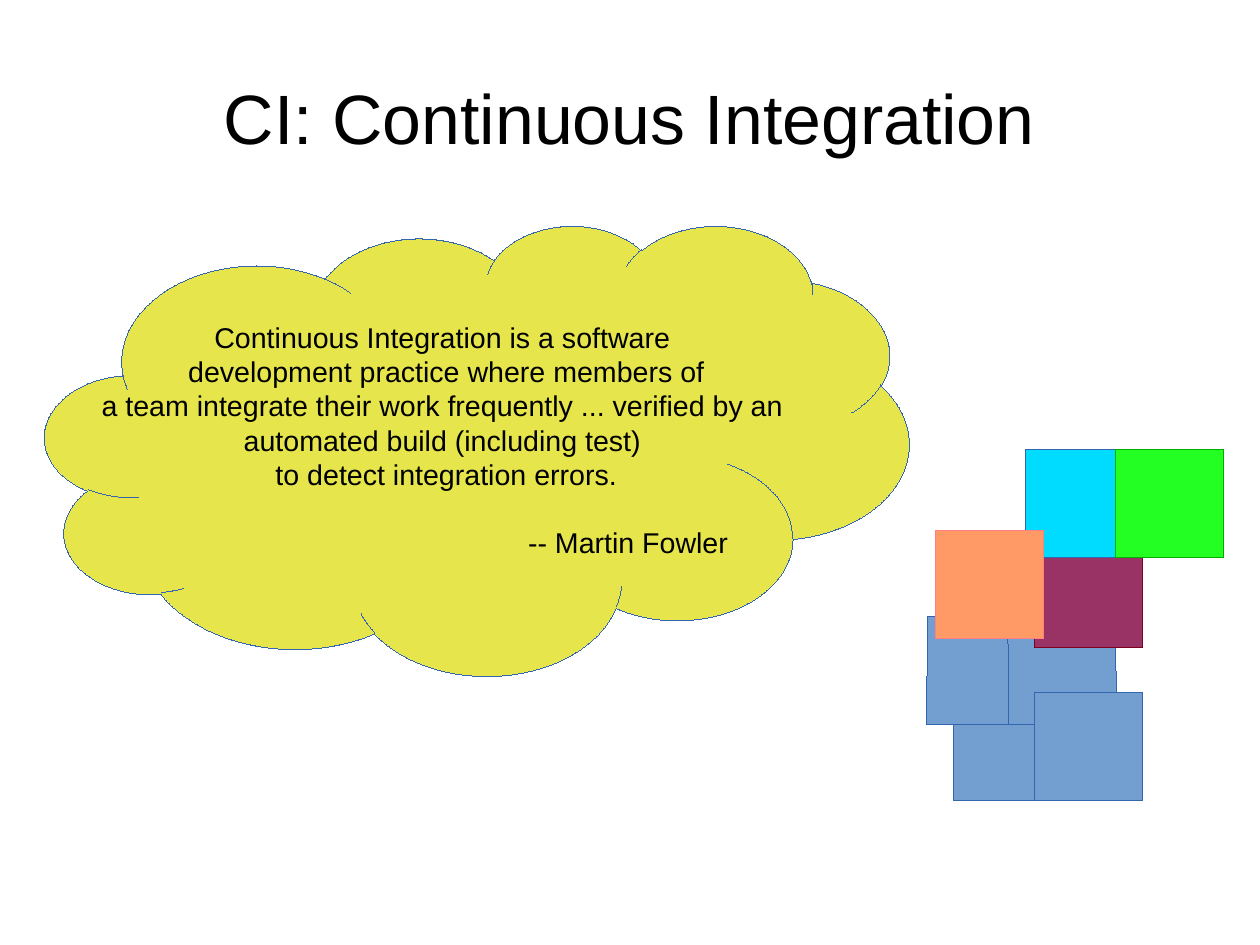
from pptx import Presentation
from pptx.dml.color import RGBColor
from pptx.enum.shapes import MSO_SHAPE as Shape
from pptx.enum.text import MSO_ANCHOR as Anchor, PP_ALIGN as Align
from pptx.util import Cm, Pt

rgb = RGBColor.from_string


def draw(kind, left, top, width, height, fill, line):
    shape = slide.shapes.add_shape(kind, Cm(left), Cm(top), Cm(width), Cm(height))
    shape.shadow.inherit = False
    shape.fill.solid()
    shape.fill.fore_color.rgb = rgb(fill)
    shape.line.color.rgb = rgb(line)
    shape.line.width = Pt(0.01)  # hairline
    return shape


def style(para, size):
    para.alignment = Align.CENTER
    font = para.runs[0].font
    font.name, font.size, font.color.rgb = "Arial", Pt(size), rgb("000000")


deck = Presentation()
deck.slide_width, deck.slide_height = Cm(28), Cm(21)
slide = deck.slides.add_slide(deck.slide_layouts[5])

# Title
title = slide.shapes.title
title.left, title.top, title.width, title.height = Cm(1.4), Cm(0.84), Cm(25.2), Cm(3.5)
frame = title.text_frame
frame.text = "CI: Continuous Integration"
frame.vertical_anchor = Anchor.MIDDLE
frame.margin_left = frame.margin_right = frame.margin_top = frame.margin_bottom = 0
style(frame.paragraphs[0], 44)

# Cloud with the quote
cloud = draw(Shape.CLOUD, 1, 5, 19.2, 10, "E6E64C", "3465AF")
frame = cloud.text_frame
frame.word_wrap = False
frame.vertical_anchor = Anchor.MIDDLE
frame.text = "\n".join([
    "Continuous Integration is a software ",
    "development practice where members of",
    "a team integrate their work frequently ... verified by an ",
    "automated build (including test) ",
    "to detect integration errors.",
    "-- Martin Fowler",
])
for para in frame.paragraphs:
    style(para, 18)

# The author stands apart, below and to the right
author = frame.paragraphs[-1]
author.space_before = Pt(21.5)
author._p.get_or_add_pPr().set("marL", str(Cm(8.08)))

# Building blocks: left, top, turn, fill, line
blocks = [
    (21.2, 15.4, 0, "729FCF", "3465AF"),
    (20.6, 13.7, 90.4, "729FCF", "3465AF"),
    (22.4, 13.7, 89.9, "729FCF", "3465AF"),
    (23, 12, 0, "993366", "7E0021"),
    (22.8, 10, 0, "00DCFF", "3465AF"),
    (20.8, 11.8, 0, "FF9966", "FF8080"),
    (24.8, 10, 0, "23FF23", "00AE00"),
    (23, 15.4, 0, "729FCF", "3465AF"),
]
for left, top, turn, fill, line in blocks:
    block = draw(Shape.RECTANGLE, left, top, 2.4, 2.4, fill, line)
    block.rotation = turn

deck.save("out.pptx")
